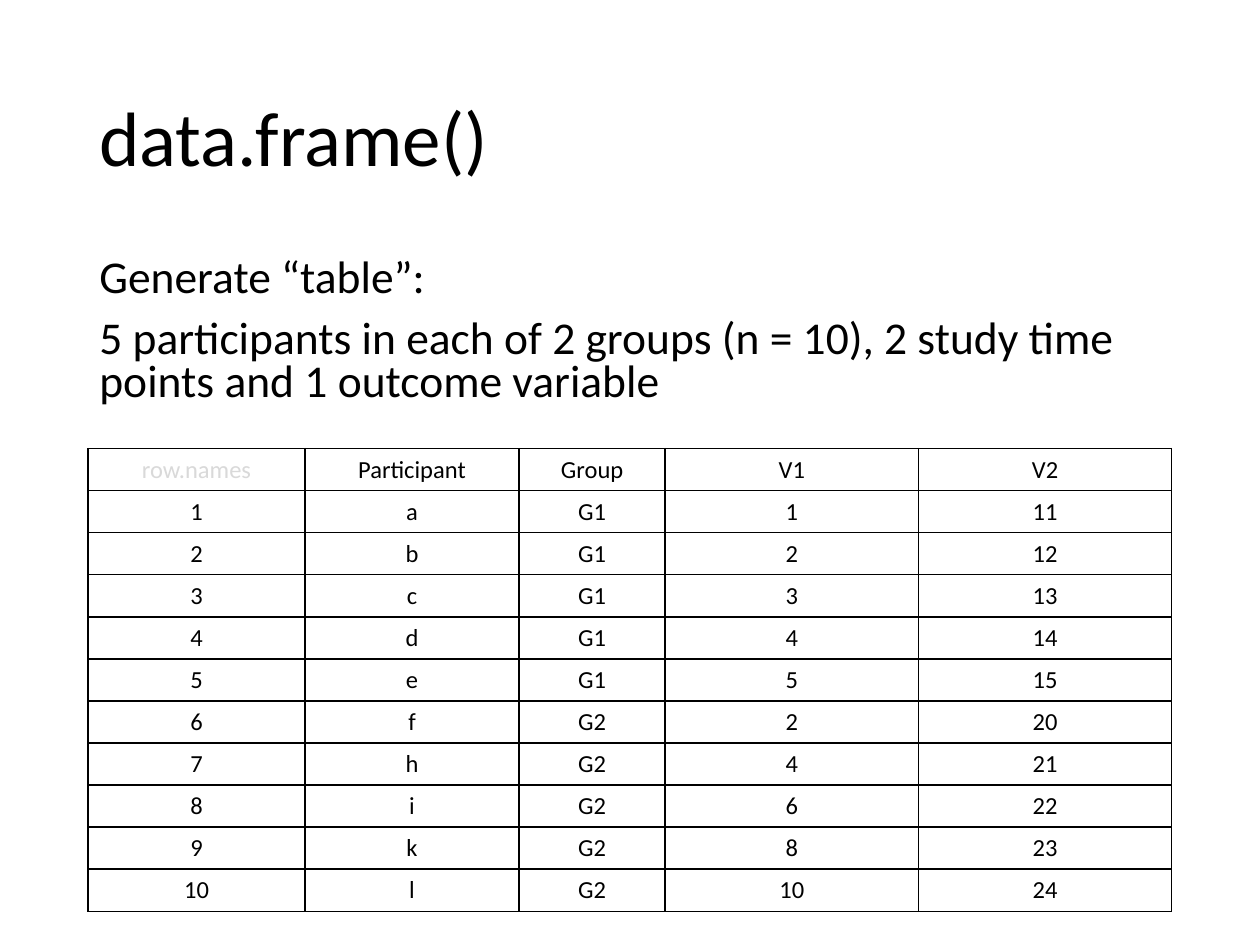
import pptx
import pptx.dml.color
import pptx.enum.text
import pptx.oxml.ns
import pptx.util
from lxml import etree

Inches = pptx.util.Inches
Pt = pptx.util.Pt
ANCHOR = pptx.enum.text.MSO_ANCHOR
COLORS = {"text": "000000", "muted": "D9D9D9", "border": "000000"}


def add_text(page, top, height, lines, size, spacing, before, anchor):
    box = page.shapes.add_textbox(Inches(0.69), Inches(top), Inches(8.62), Inches(height))
    frame = box.text_frame
    frame.word_wrap = True
    frame.vertical_anchor = anchor
    frame.text = "\n".join(lines)
    for para in frame.paragraphs:
        para.line_spacing = spacing
        para.space_before = Pt(before)
        para.font.name = "Calibri"
        para.font.size = Pt(size)
        para.font.color.rgb = pptx.dml.color.RGBColor.from_string(COLORS["text"])


def add_borders(cell):
    """Draw a solid 1 pt line on each side of the cell."""
    properties = cell._tc.get_or_add_tcPr()
    qn = pptx.oxml.ns.qn
    for position, side in enumerate(("a:lnL", "a:lnR", "a:lnT", "a:lnB")):
        line = etree.Element(qn(side), w=str(Pt(1)))
        fill = etree.SubElement(line, qn("a:solidFill"))
        etree.SubElement(fill, qn("a:srgbClr"), val=COLORS["border"])
        properties.insert(position, line)


deck = pptx.Presentation()
deck.slide_width = Inches(10)
deck.slide_height = Inches(7.5)
page = deck.slides.add_slide(deck.slide_layouts[6])

add_text(page, 0.4, 1.45, ["data.frame()"], 44, 0.9, 0, ANCHOR.MIDDLE)
body = [
    "Generate “table”:",
    "5 participants in each of 2 groups (n = 10), 2 study time points and 1 outcome variable",
]
add_text(page, 2, 1.38, body, 26, 0.8, 10, ANCHOR.TOP)

participants = "abcdefhikl"
groups = ["G1"] * 5 + ["G2"] * 5
first_visit = [1, 2, 3, 4, 5, 2, 4, 6, 8, 10]
second_visit = [11, 12, 13, 14, 15, 20, 21, 22, 23, 24]
rows = [("row.names", "Participant", "Group", "V1", "V2")]
rows += zip(range(1, 11), participants, groups, first_visit, second_visit)
widths = [1.72, 1.7, 1.16, 2.01, 2.01]

table = page.shapes.add_table(
    len(rows), len(widths), Inches(0.7), Inches(3.56), Inches(8.6), Inches(3.67)
).table
table.first_row = False
table.horz_banding = False
for column, width in zip(table.columns, widths):
    column.width = Inches(width)

for r, values in enumerate(rows):
    for c, value in enumerate(values):
        cell = table.cell(r, c)
        cell.text = str(value)
        cell.fill.background()
        add_borders(cell)
        para = cell.text_frame.paragraphs[0]
        para.alignment = pptx.enum.text.PP_ALIGN.CENTER
        para.font.name = "Calibri"
        para.font.size = Pt(14)
        color = COLORS["muted" if value == "row.names" else "text"]
        para.font.color.rgb = pptx.dml.color.RGBColor.from_string(color)

deck.save("out.pptx")
